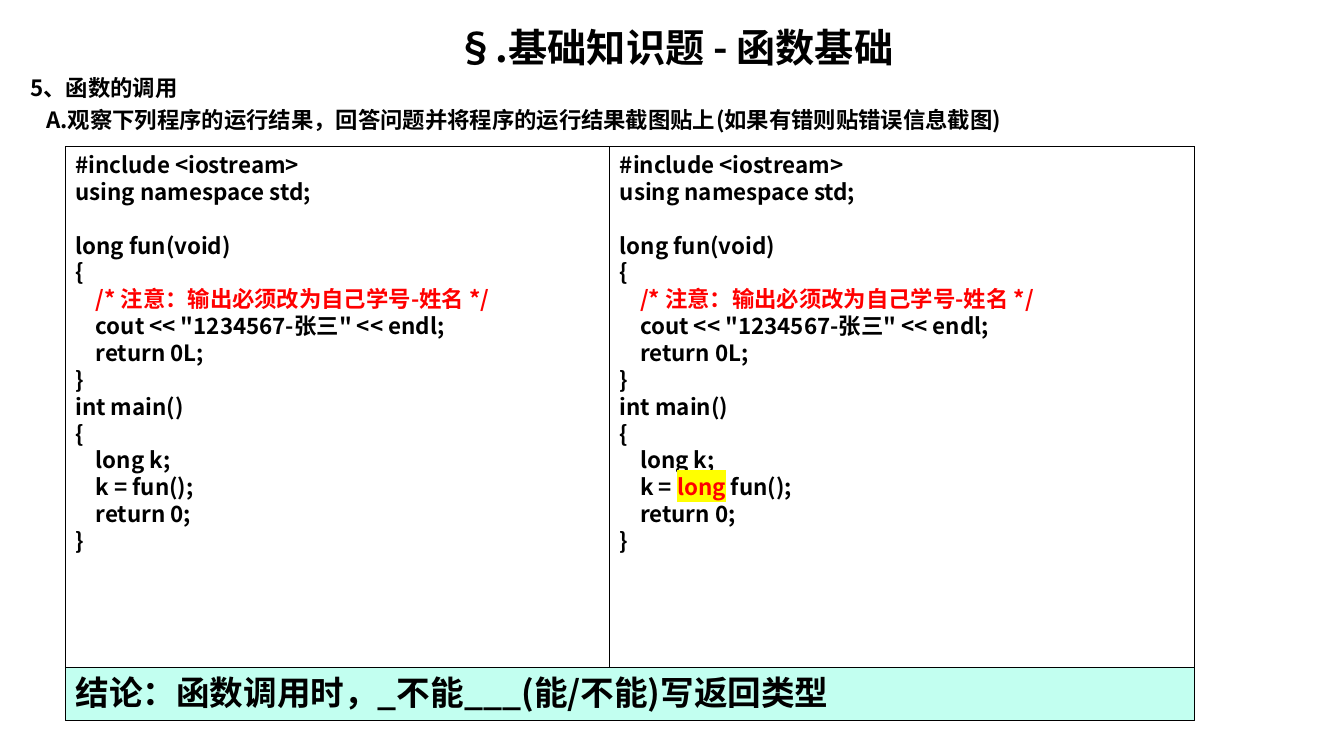
import pptx
import pptx.util
import pptx.dml.color
import pptx.enum.shapes
import pptx.enum.text
import lxml.etree

BLACK = pptx.dml.color.RGBColor(0, 0, 0)
RED = pptx.dml.color.RGBColor(255, 0, 0)
MINT = pptx.dml.color.RGBColor(0xC2, 0xFF, 0xF0)
YELLOW = pptx.dml.color.RGBColor(255, 255, 0)
FONT = "Noto Sans CJK SC"
CELL = 0.05
NOTE = "/* 注意：输出必须改为自己学号-姓名 */"
TYPE = "long"
CODE = """#include <iostream>
using namespace std;

long fun(void)
{
    %s
    cout << "1234567-张三" << endl;
    return 0L;
}
int main()
{
    long k;
    k = %sfun();
    return 0;
}"""


def grid(count):
    """Return the length of a number of grid cells."""
    return pptx.util.Inches(count * CELL)


def place(shape, left, top, width, height):
    """Set a shape on the grid."""
    shape.left, shape.top = grid(left), grid(top)
    shape.width, shape.height = grid(width), grid(height)


def tag(parent, name, **attrs):
    """Append a drawing element to a parent."""
    return lxml.etree.SubElement(parent, pptx.oxml.ns.qn("a:" + name), attrs)


def style(run, size, color=BLACK, mark=None):
    """Format one run, with an optional highlight."""
    font = run.font
    font.size, font.bold = pptx.util.Pt(size), True
    font.color.rgb = color
    props = run._r.get_or_add_rPr()
    if mark is not None:
        tag(tag(props, "highlight"), "srgbClr", val=str(mark))
    font.name = FONT
    tag(props, "ea", typeface=FONT)


def dress(frame, size, align=pptx.enum.text.PP_ALIGN.LEFT):
    """Format the paragraphs and runs of a text frame."""
    frame.word_wrap = True
    frame.auto_size = pptx.enum.text.MSO_AUTO_SIZE.NONE
    frame.vertical_anchor = pptx.enum.text.MSO_ANCHOR.TOP
    for para in frame.paragraphs:
        para.alignment = align
        para.line_spacing = pptx.util.Pt(size * 1.2)
        para.space_before = pptx.util.Pt(0)
        para.font.size = pptx.util.Pt(size)
        for run in para.runs:
            style(run, size)


def panel(slide, text, size, *box, fill=None):
    """Draw an outlined box of text."""
    shape = slide.shapes.add_shape(pptx.enum.shapes.MSO_SHAPE.RECTANGLE, 0, 0, 1, 1)
    place(shape, *box)
    shape.shadow.inherit = False
    shape.line.color.rgb, shape.line.width = BLACK, pptx.util.Pt(0.75)
    if fill is None:
        shape.fill.background()
    else:
        shape.fill.solid()
        shape.fill.fore_color.rgb = fill
    shape.text_frame.text = text
    dress(shape.text_frame, size)
    return shape.text_frame


def split(para, word, mark=None):
    """Turn one word of a paragraph red."""
    before, word, after = para.text.partition(word)
    para.text = before
    for text, color, back in ((word, RED, mark), (after, BLACK, None)):
        run = para.add_run()
        run.text = text
        style(run, 16, color, back)
    style(para.runs[0], 16)


def code(slide, cast, *box):
    """Draw a code panel with its red parts."""
    frame = panel(slide, CODE % (NOTE, cast), 16, *box)
    for para in frame.paragraphs:
        if NOTE in para.text:
            split(para, NOTE)
        elif cast and "k = " in para.text:
            split(para, TYPE, YELLOW)


def head(slide, title, lines):
    """Fill the title and the list below it."""
    top, body = slide.shapes.title, slide.placeholders[1]
    place(top, 4, 3.6, 259.8, 11)
    top.text_frame.text = title
    dress(top.text_frame, 28, pptx.enum.text.PP_ALIGN.CENTER)
    place(body, 4, 13.8, 259.8, 15)
    body.text_frame.text = "\n".join(lines)
    for level, para in enumerate(body.text_frame.paragraphs):
        props = para._p.get_or_add_pPr()
        props.set("marL", str(grid(level * 3.2)))
        props.set("indent", "0")
        tag(props, "buNone")
    dress(body.text_frame, 16)
    body.text_frame.paragraphs[1].space_before = pptx.util.Pt(3.2)


def main():
    """Build and save the slide."""
    deck = pptx.Presentation()
    deck.slide_width = pptx.util.Inches(13.33)
    deck.slide_height = pptx.util.Inches(7.5)
    slide = deck.slides.add_slide(deck.slide_layouts[1])
    head(slide, "§.基础知识题 - 函数基础", [
        "5、函数的调用",
        "A.观察下列程序的运行结果，回答问题并将程序的运行结果截图贴上(如果有错则贴错误信息截图)",
    ])
    code(slide, "", 13, 29, 224, 114)
    code(slide, TYPE + " ", 121, 29, 116, 114)
    panel(slide, "结论：函数调用时，_不能___(能/不能)写返回类型", 24,
          13, 132.4, 224, 10.6, fill=MINT)
    deck.save("out.pptx")


if __name__ == "__main__":
    main()
